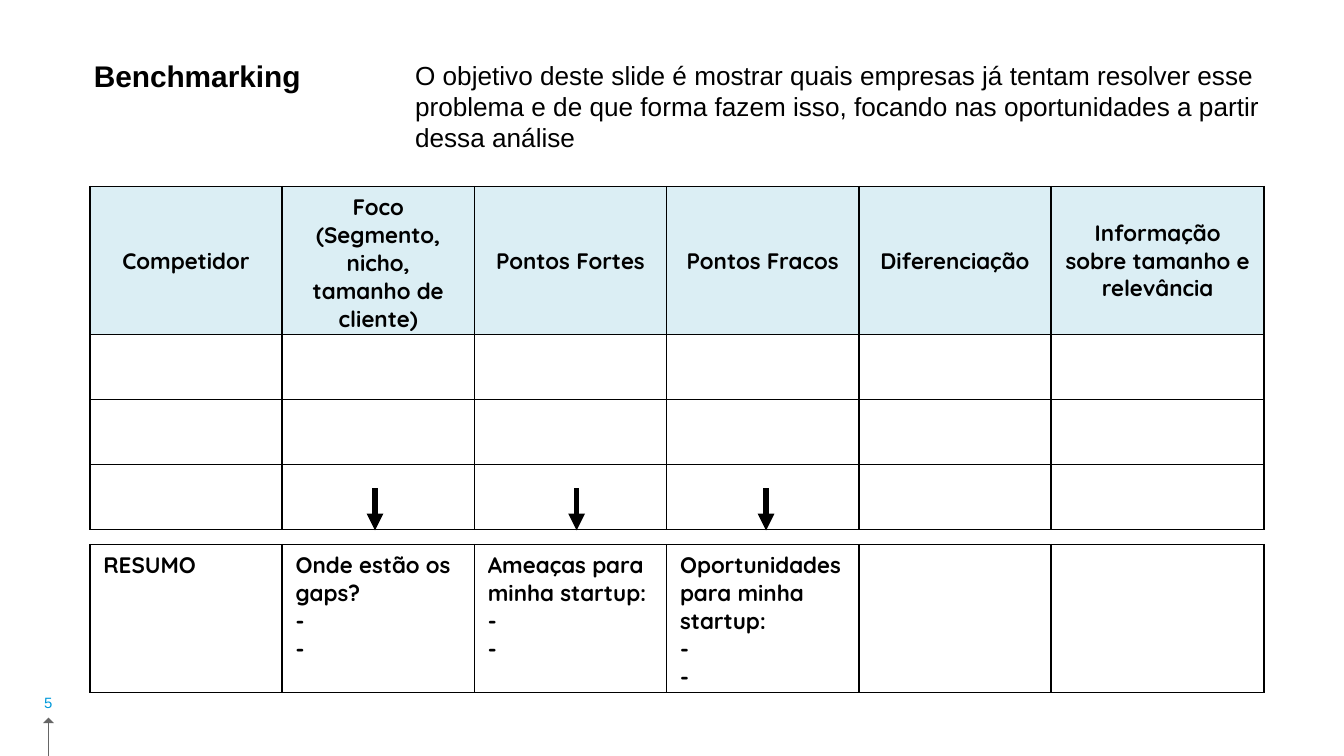
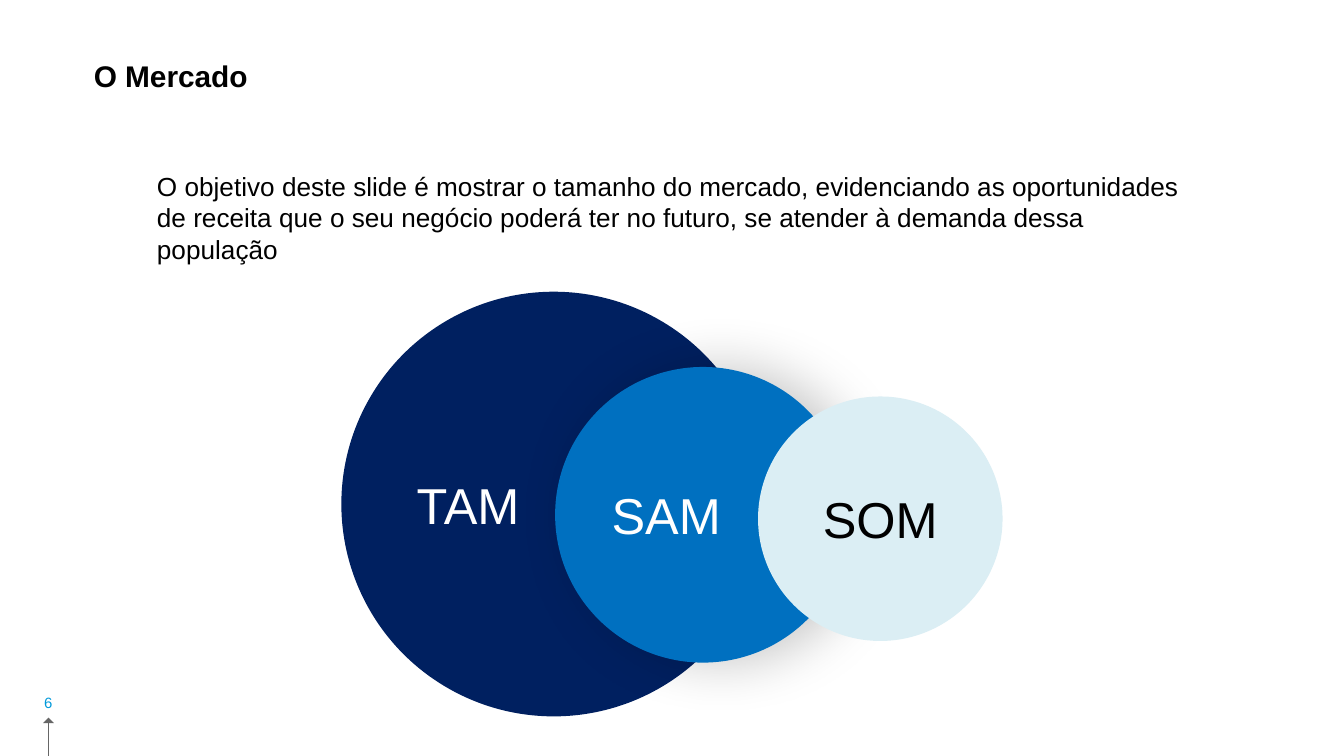
"""Build the benchmarking and market-size slides of a pitch deck."""
from pptx import Presentation, util as u
from pptx.dml.color import RGBColor
from pptx.enum import shapes, text
from pptx.oxml import ns
from lxml import etree

Pt = u.Pt
BLACK = RGBColor(0, 0, 0)
WHITE = RGBColor(0xFF, 0xFF, 0xFF)
GREY = RGBColor(0x66, 0x66, 0x66)
CYAN = RGBColor(0x00, 0x99, 0xDA)
NAVY = RGBColor(0x00, 0x20, 0x60)
BLUE = RGBColor(0x00, 0x70, 0xC0)
PALE = RGBColor(0xDB, 0xEE, 0xF4)
BODY_FONT = "Arial"
TABLE_FONT = "Quicksand"
SLIDE_WIDTH, SLIDE_HEIGHT = 720, 405
WIDE_INSETS = (7.2, 7.2)
TEXT_INSETS = (7.2, 3.6)

BENCHMARKING = {
    "title": "Benchmarking",
    "number": 5,
    "intro": "O objetivo deste slide é mostrar quais empresas já tentam resolver esse problema "
             "e de que forma fazem isso, focando nas oportunidades a partir dessa análise",
    "intro_box": (215.3, 28.1, 489.6, 58.3),
}
MARKET = {
    "title": "O Mercado",
    "number": 6,
    "intro": "O objetivo deste slide é mostrar o tamanho do mercado, evidenciando as oportunidades "
             "de receita que o seu negócio poderá ter no futuro, se atender à demanda dessa população",
    "intro_box": (77, 87.8, 566, 58.3),
}
HEADERS = ["Competidor", "Foco (Segmento, nicho, tamanho de cliente)", "Pontos Fortes",
           "Pontos Fracos", "Diferenciação", "Informação sobre tamanho e relevância"]
COMPETITOR_ROWS = 3
SUMMARY = ["RESUMO", "Onde estão os gaps?\n-\n-", "Ameaças para minha startup:\n-\n-",
           "Oportunidades para minha startup:\n-\n-", "", ""]
TABLE_LEFT = 48.2
COLUMN_WIDTHS = [103] * 5 + [114.2]
HEADER_HEIGHT, ROW_HEIGHT, SUMMARY_HEIGHT = 45.4, 34.8, 75.6
COMPETITORS_TOP, SUMMARY_TOP = 100, 291.8
ARROW_CENTERS = [200.9, 308.9, 410.4]
ARROW_TOP, ARROW_BOTTOM = 261.6, 284.2
CIRCLES = [
    ("TAM", 182.9, 156.3, 227.5, NAVY, WHITE, text.PP_ALIGN.LEFT),
    ("SAM", 297.4, 196.6, 158.4, BLUE, WHITE, text.PP_ALIGN.LEFT),
    ("SOM", 406.1, 212.4, 131, PALE, BLACK, text.PP_ALIGN.CENTER),
]
SHADOWED = "SAM"


def add_xml(parent, tag, **attributes):
    return etree.SubElement(parent, ns.qn(tag), attributes)


def write(frame, content, size, color, font=BODY_FONT, bold=False, align=None, spacing=None):
    frame.text = content
    for paragraph in frame.paragraphs:
        paragraph.alignment = align
        paragraph.line_spacing = spacing
        for run in paragraph.runs:
            run.font.name = font
            run.font.size = Pt(size)
            run.font.bold = bold
            run.font.color.rgb = color


def set_frame(frame, insets, anchor):
    frame.word_wrap = True
    frame.margin_left = frame.margin_right = Pt(insets[0])
    frame.margin_top = frame.margin_bottom = Pt(insets[1])
    frame.vertical_anchor = anchor


def add_text(slide, box, content, size, color, insets, anchor=text.MSO_ANCHOR.TOP, **style):
    shape = slide.shapes.add_textbox(*map(Pt, box))
    set_frame(shape.text_frame, insets, anchor)
    write(shape.text_frame, content, size, color, **style)


def add_shape(container, kind, box, color):
    shape = container.add_shape(kind, *map(Pt, box))
    shape.shadow.inherit = False
    shape.fill.solid()
    shape.fill.fore_color.rgb = color
    shape.line.fill.background()
    return shape


def add_line(slide, x, start, end, color, width, arrow=False):
    line = slide.shapes.add_connector(shapes.MSO_CONNECTOR.STRAIGHT, Pt(x), Pt(start), Pt(x), Pt(end))
    line.line.color.rgb = color
    line.line.width = Pt(width)
    if arrow:
        add_xml(line.line._get_or_add_ln(), "a:tailEnd", type="triangle")
    add_xml(line._element.spPr, "a:effectLst")


def start_slide(presentation, content):
    slide = presentation.slides.add_slide(presentation.slide_layouts[6])
    add_line(slide, 26, SLIDE_HEIGHT, 385.2, GREY, 0.75)
    add_shape(slide.shapes, shapes.MSO_SHAPE.ISOSCELES_TRIANGLE, (23.1, 384.5, 5.8, 2.9), GREY)
    add_text(slide, (0.7, 368.8, 50.4, 15), str(content["number"]), 8, CYAN, WIDE_INSETS,
             text.MSO_ANCHOR.MIDDLE, align=text.PP_ALIGN.CENTER)
    add_text(slide, (43.2, 20.9, 269.3, 25.2), content["title"], 16, BLACK, WIDE_INSETS,
             bold=True, spacing=1.15)
    add_text(slide, content["intro_box"], content["intro"], 14, BLACK, TEXT_INSETS)
    return slide


def add_borders(cell):
    properties = cell._tc.get_or_add_tcPr()
    for side in ("a:lnL", "a:lnR", "a:lnT", "a:lnB"):
        border = add_xml(properties, side, w=str(Pt(1)))
        add_xml(add_xml(border, "a:solidFill"), "a:srgbClr", val=str(BLACK))


def add_table(slide, top, heights, first_row, header=False):
    table = slide.shapes.add_table(len(heights), len(COLUMN_WIDTHS), Pt(TABLE_LEFT), Pt(top),
                                   Pt(sum(COLUMN_WIDTHS)), Pt(sum(heights))).table
    table.first_row = table.horz_banding = False
    for column, width in zip(table.columns, COLUMN_WIDTHS):
        column.width = Pt(width)
    for row, height in zip(table.rows, heights):
        row.height = Pt(height)
    for cell in table.iter_cells():
        add_borders(cell)
        cell.fill.background()
    for cell, content in zip(table.rows[0].cells, first_row):
        write(cell.text_frame, content, 12, BLACK, TABLE_FONT, True,
              text.PP_ALIGN.CENTER if header else None)
        if header:
            cell.vertical_anchor = text.MSO_ANCHOR.MIDDLE
            cell.fill.solid()
            cell.fill.fore_color.rgb = PALE


def add_soft_shadow(shape):
    effects = shape._element.spPr.find(ns.qn("a:effectLst"))
    shadow = add_xml(effects, "a:outerShdw", blurRad=str(Pt(30)), dist=str(Pt(10)), dir="0",
                     algn="ctr", rotWithShape="0")
    color = add_xml(shadow, "a:srgbClr", val=str(BLACK))
    add_xml(color, "a:alpha", val="22000")


def build_benchmarking(presentation):
    slide = start_slide(presentation, BENCHMARKING)
    add_table(slide, COMPETITORS_TOP, [HEADER_HEIGHT] + [ROW_HEIGHT] * COMPETITOR_ROWS, HEADERS, True)
    add_table(slide, SUMMARY_TOP, [SUMMARY_HEIGHT], SUMMARY)
    for center in ARROW_CENTERS:
        add_line(slide, center, ARROW_TOP, ARROW_BOTTOM, BLACK, 3, True)


def build_market(presentation):
    slide = start_slide(presentation, MARKET)
    group = slide.shapes.add_group_shape()
    for label, left, top, diameter, fill, color, align in CIRCLES:
        circle = add_shape(group.shapes, shapes.MSO_SHAPE.OVAL, (left, top, diameter, diameter), fill)
        set_frame(circle.text_frame, WIDE_INSETS, text.MSO_ANCHOR.MIDDLE)
        write(circle.text_frame, label, 27, color, align=align)
        if label == SHADOWED:
            add_soft_shadow(circle)


def main():
    presentation = Presentation()
    presentation.slide_width = Pt(SLIDE_WIDTH)
    presentation.slide_height = Pt(SLIDE_HEIGHT)
    build_benchmarking(presentation)
    build_market(presentation)
    presentation.save("out.pptx")


if __name__ == "__main__":
    main()
